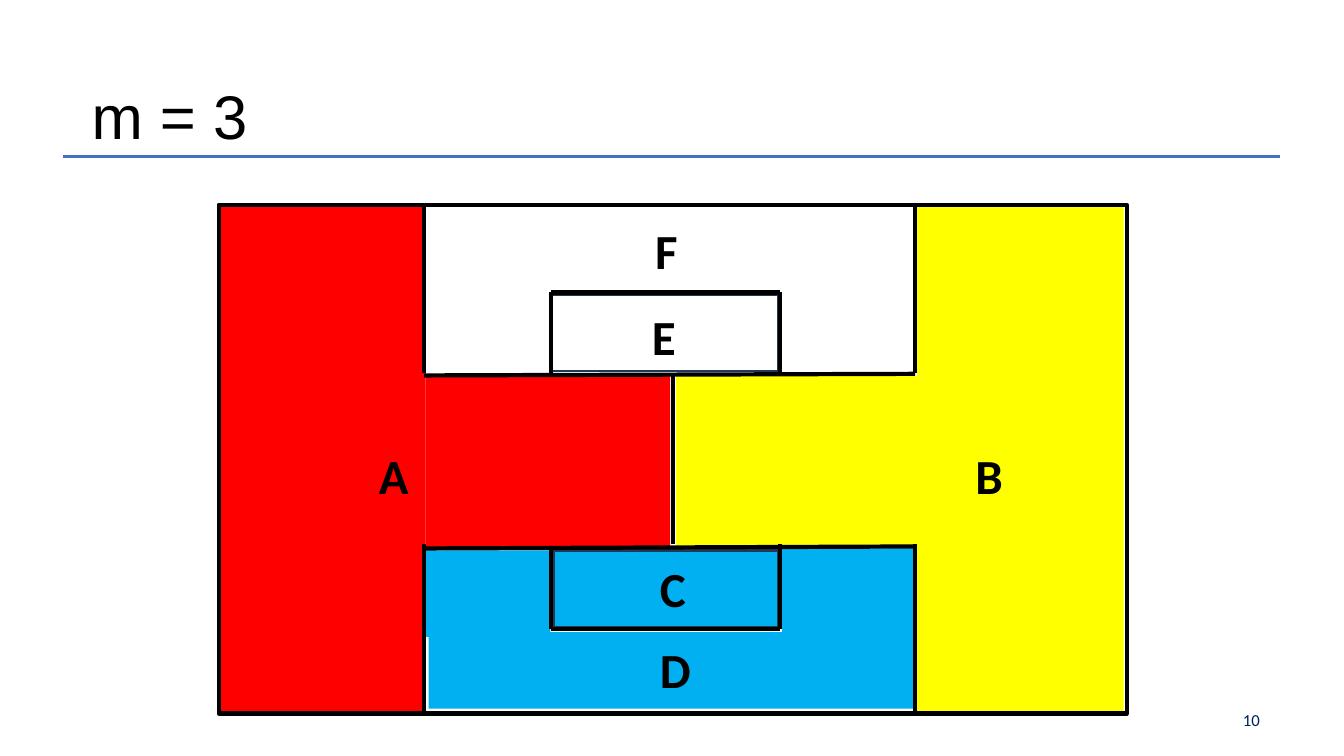
from lxml import etree
from pptx import Presentation
from pptx.dml.color import RGBColor
from pptx.enum import shapes, text
from pptx.oxml import ns
from pptx.util import Cm, Pt

BLACK, NAVY, RULE, NUMBER = "000000", "233953", "4471C4", "001F5F"
RED, YELLOW, BLUE = "FF0000", "FFFF00", "00B0F0"

LEFT, INNER_LEFT, BOX_LEFT, MIDDLE = 5.51, 10.69, 13.89, 16.97
BOX_RIGHT, INNER_RIGHT, RIGHT = 19.66, 23.06, 28.4
TOP, BOX_TOP, BAND_TOP = 5.16, 7.37, 9.45
BAND_BOTTOM, BOX_BOTTOM, BOTTOM = 13.72, 15.85, 17.98

REGIONS = [
    (17.04, 9.47, 6.17, 4.32, YELLOW),
    (23.11, TOP, 5.21, 12.83, YELLOW),
    (LEFT, TOP, 5.21, 12.83, RED),
    (10.72, 9.47, 6.17, 4.32, RED),
    (10.8, 15.93, 12.22, 1.93, BLUE),
    (10.72, 13.87, 3.15, 2.18, BLUE),
    (19.71, 13.82, 3.3, 2.18, BLUE),
]
OUTLINES = [
    (13.94, 13.87, 5.69, 1.93, BLUE, NAVY, 2),
    (BOX_LEFT, 7.42, 5.74, 1.93, None, NAVY, 2),
    (LEFT, TOP, RIGHT - LEFT, BOTTOM - TOP, None, BLACK, 3),
]
BORDERS = [
    (INNER_LEFT, TOP, INNER_LEFT, 9.4),
    (INNER_LEFT, BAND_BOTTOM, INNER_LEFT, BOTTOM),
    (INNER_RIGHT, TOP, INNER_RIGHT, 9.4),
    (INNER_RIGHT, BAND_BOTTOM, INNER_RIGHT, BOTTOM),
    (MIDDLE, BAND_TOP, MIDDLE, BAND_BOTTOM),
    (INNER_LEFT, 9.46, INNER_RIGHT, 9.42),
    (INNER_LEFT, 13.82, INNER_RIGHT, 13.77),
    (BOX_LEFT, 13.82, BOX_LEFT, BOX_BOTTOM),
    (BOX_RIGHT, BAND_BOTTOM, BOX_RIGHT, BOX_BOTTOM),
    (BOX_LEFT, BOX_BOTTOM, BOX_RIGHT, BOX_BOTTOM),
    (BOX_LEFT, BOX_TOP, BOX_LEFT, BAND_TOP),
    (BOX_RIGHT, BOX_TOP, BOX_RIGHT, BAND_TOP),
    (BOX_LEFT, BOX_TOP, BOX_RIGHT, BOX_TOP),
]
LABELS = [
    ("A", 9.3, 11.1, 1.27), ("B", 24.33, 11.1, 1.22),
    ("E", 16.18, 7.59, 1.12), ("F", 16.26, 5.44, 1.09),
    ("C", 16.38, 13.94, 1.17), ("D", 16.38, 16, 1.3),
]


def color(value):
    """Turn a hex string into a colour."""
    return RGBColor.from_string(value)


def add_region(page, left, top, width, height, fill=None, line=None, weight=0):
    """Add a rectangle with an optional fill and outline."""
    shape = page.shapes.add_shape(
        shapes.MSO_SHAPE.RECTANGLE, Cm(left), Cm(top), Cm(width), Cm(height))
    shape.shadow.inherit = False
    if fill:
        shape.fill.solid()
        shape.fill.fore_color.rgb = color(fill)
    else:
        shape.fill.background()
    if line:
        shape.line.color.rgb = color(line)
        shape.line.width = Pt(weight)
    else:
        shape.line.fill.background()


def add_border(page, x1, y1, x2, y2, line=BLACK, weight=3):
    """Add a straight line without a shadow."""
    border = page.shapes.add_connector(
        shapes.MSO_CONNECTOR.STRAIGHT, Cm(x1), Cm(y1), Cm(x2), Cm(y2))
    border.line.color.rgb = color(line)
    border.line.width = Pt(weight)
    etree.SubElement(border.element.spPr, ns.qn("a:effectLst"))


def add_text(page, words, left, top, width, height, size, font="Calibri",
             ink=BLACK, bold=False):
    """Add a one-line text box and return it."""
    box = page.shapes.add_textbox(Cm(left), Cm(top), Cm(width), Cm(height))
    box.text_frame.word_wrap = False
    box.text_frame.auto_size = text.MSO_AUTO_SIZE.SHAPE_TO_FIT_TEXT
    para = box.text_frame.paragraphs[0]
    para.text = words
    para.font.size = Pt(size)
    para.font.name = font
    para.font.bold = bold
    para.font.color.rgb = color(ink)
    return box


def add_page_number(page, words):
    """Add the page number in the lower right corner."""
    frame = add_text(page, words, 31.32, 17.96, 0.76, 0.43, 12, ink=NUMBER).text_frame
    frame.margin_left = frame.margin_right = frame.margin_top = frame.margin_bottom = 0
    frame.word_wrap = True
    frame.paragraphs[0].line_spacing = Pt(12.4)


def main():
    """Build the map colouring slide."""
    deck = Presentation()
    deck.slide_width, deck.slide_height = Cm(33.87), Cm(19.05)
    page = deck.slides.add_slide(deck.slide_layouts[6])
    add_border(page, 1.6, 3.94, 32.26, 3.94, RULE, 2.5)
    add_page_number(page, "10")
    add_text(page, "m = 3", 2.06, 1.83, 4.95, 2.13, 44, "Arial")
    for region in REGIONS + OUTLINES:
        add_region(page, *region)
    for border in BORDERS:
        add_border(page, *border)
    for letter, left, top, width in LABELS:
        add_text(page, letter, left, top, width, 1.75, 35, bold=True)
    deck.save("out.pptx")


if __name__ == "__main__":
    main()
